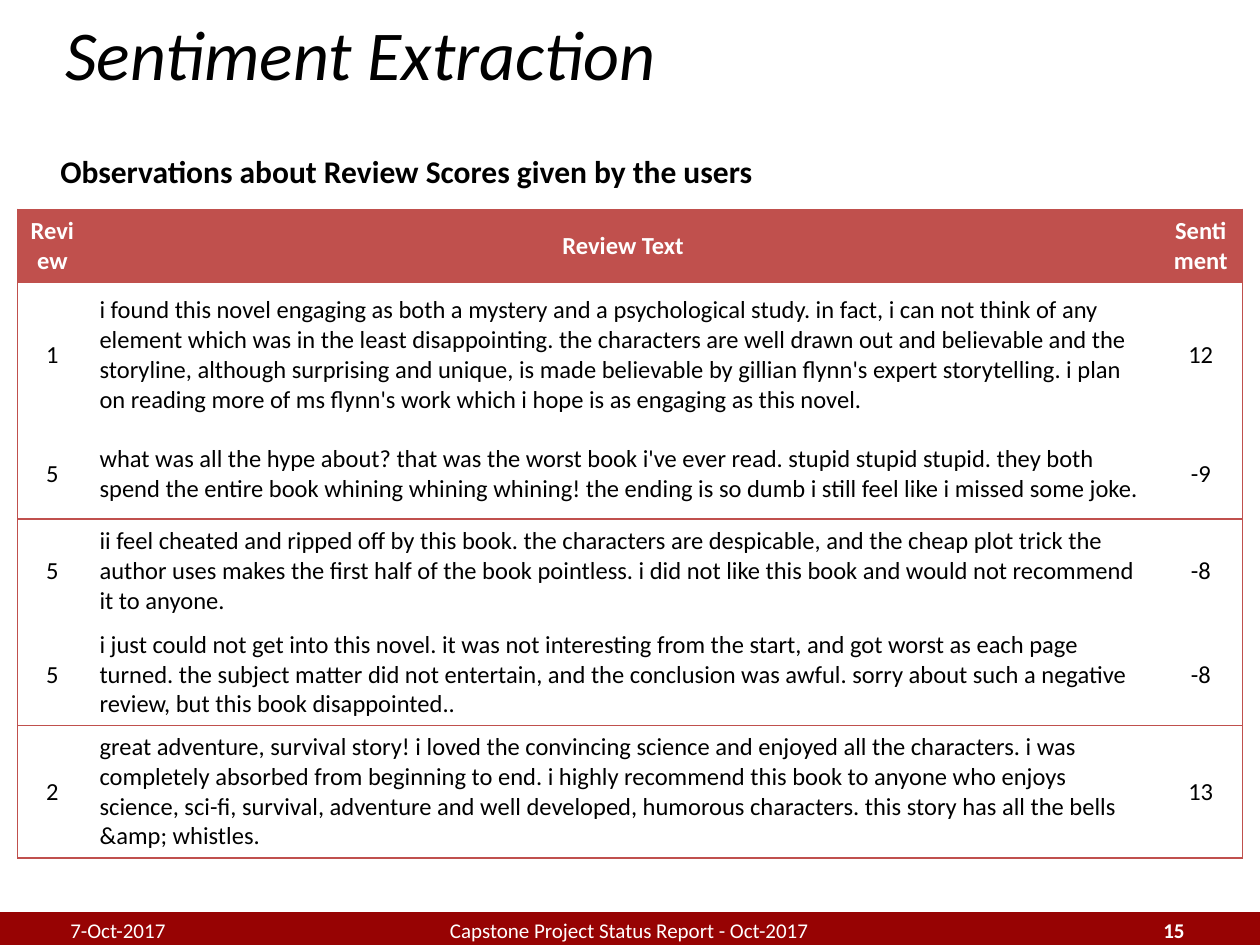
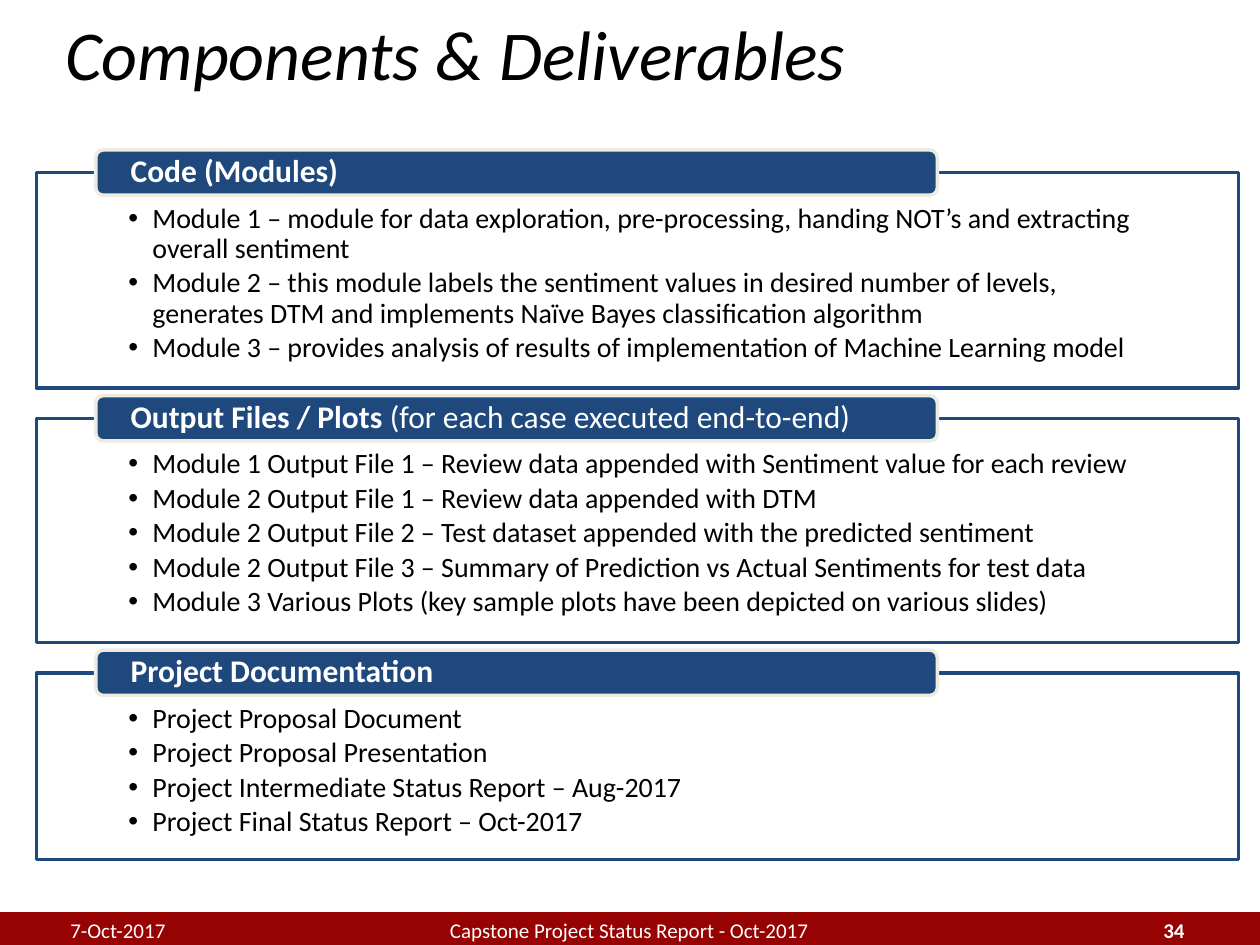
from dataclasses import dataclass
from typing import NamedTuple

from lxml.etree import SubElement
from pptx import Presentation
from pptx.dml.color import RGBColor as RGB
from pptx.enum.shapes import MSO_SHAPE as Shape
from pptx.enum.text import MSO_ANCHOR as Anchor, PP_ALIGN as Align
from pptx.oxml.ns import qn
from pptx.util import Inches, Pt


@dataclass(frozen=True)
class Theme:
    font: str = "Calibri"
    bullet_font: str = "Arial"
    white: RGB = RGB(0xFF, 0xFF, 0xFF)
    black: RGB = RGB(0, 0, 0)
    footer: RGB = RGB(0x97, 0x03, 0x03)
    table: RGB = RGB(0xC0, 0x50, 0x4D)
    navy: RGB = RGB(0x1F, 0x49, 0x7D)
    cream: RGB = RGB(0xEE, 0xEC, 0xE1)
    title_size: int = 40
    heading_size: int = 18
    bullet_size: int = 16
    cell_size: int = 14
    footer_size: int = 12
    line_width: float = 2
    border_width: float = 0.75


THEME = Theme()


class Box(NamedTuple):
    left: float
    top: float
    width: float
    height: float

    def emu(self) -> list:
        return [Inches(v) for v in self]


class Review(NamedTuple):
    score: str
    text: str
    sentiment: str
    height: float
    rule_below: bool


class Panel(NamedTuple):
    heading: str
    note: str
    bullets: list[str]
    height: float


DATE = "7-Oct-2017"
FOOTER = "Capstone Project Status Report - Oct-2017"

TABLE_BOX = Box(0.14, 1.66, 9.72, 5.15)
COLUMN_WIDTHS = (0.55, 8.51, 0.66)
HEADER = Review("Review", "Review Text", "Sentiment", 0.58, True)
REVIEWS = [
    Review("1", "i found this novel engaging as both a mystery and a psychological study. "
           "in fact, i can not think of any element which was in the least disappointing. "
           "the characters are well drawn out and believable and the storyline, although "
           "surprising and unique, is made believable by gillian flynn's expert storytelling. "
           "i plan on reading more of ms flynn's work which i hope is as engaging as this novel.",
           "12", 1.16, False),
    Review("5", "what was all the hype about? that was the worst book i've ever read. "
           "stupid stupid stupid. they both spend the entire book whining whining whining! "
           "the ending is so dumb i still feel like i missed some joke.",
           "-9", 0.72, True),
    Review("5", "ii feel cheated and ripped off by this book. the characters are despicable, "
           "and the cheap plot trick the author uses makes the first half of the book pointless. "
           "i did not like this book and would not recommend it to anyone.",
           "-8", 0.83, False),
    Review("5", "i just could not get into this novel. it was not interesting from the start, "
           "and got worst as each page turned. the subject matter did not entertain, and the "
           "conclusion was awful. sorry about such a negative review, but this book disappointed..",
           "-8", 0.81, True),
    Review("2", "great adventure, survival story! i loved the convincing science and enjoyed all "
           "the characters. i was completely absorbed from beginning to end. i highly recommend "
           "this book to anyone who enjoys science, sci-fi, survival, adventure and well "
           "developed, humorous characters. this story has all the bells &amp; whistles.",
           "13", 1.05, True),
]

PANEL_LEFT, PANEL_TOP, PANEL_WIDTH, PANEL_GAP = 0.29, 1.37, 9.54, 0.24
TAB_LEFT, TAB_RISE, TAB_WIDTH, TAB_HEIGHT = 0.76, 0.18, 6.68, 0.36
BULLET_INDENT = 0.19
PANELS = [
    Panel("Code (Modules)", "", [
        "Module 1 – module for data exploration, pre-processing, handing NOT’s and extracting "
        "overall sentiment",
        "Module 2 – this module labels the sentiment values in desired number of levels, "
        "generates DTM and implements Naïve Bayes classification algorithm",
        "Module 3 – provides analysis of results of implementation of Machine Learning model",
    ], 1.71),
    Panel("Output Files / Plots ", "(for each case executed end-to-end)", [
        "Module 1 Output File 1 – Review data appended with Sentiment value for each review",
        "Module 2 Output File 1 – Review data appended with DTM",
        "Module 2 Output File 2 – Test dataset appended with the predicted sentiment",
        "Module 2 Output File 3 – Summary of Prediction vs Actual Sentiments for test data",
        "Module 3 Various Plots (key sample plots have been depicted on various slides)",
    ], 1.78),
    Panel("Project Documentation", "", [
        "Project Proposal Document",
        "Project Proposal Presentation",
        "Project Intermediate Status Report – Aug-2017",
        "Project Final Status Report – Oct-2017",
    ], 1.48),
]


def add_run(p, text: str, size: float, color: RGB, bold: bool = False,
            italic: bool = False) -> None:
    r = p.add_run()
    r.text = text
    r.font.name = THEME.font
    r.font.size = Pt(size)
    r.font.color.rgb = color
    r.font.bold = bold
    r.font.italic = italic


def set_insets(tf, side: float, top: float, bottom: float) -> None:
    tf.margin_left = tf.margin_right = Inches(side)
    tf.margin_top, tf.margin_bottom = Inches(top), Inches(bottom)


def add_text(s, box: Box, text: str, size: float, color: RGB, align: Align = Align.LEFT,
             anchor: Anchor = Anchor.MIDDLE, bold: bool = False, italic: bool = False,
             inset: float = 0.05) -> None:
    """Add one line of text; inset is the space above and below it."""
    tf = s.shapes.add_textbox(*box.emu()).text_frame
    tf.word_wrap = True
    tf.vertical_anchor = anchor
    set_insets(tf, 0.1, inset, inset)
    p = tf.paragraphs[0]
    p.alignment = align
    add_run(p, text, size, color, bold, italic)


def add_block(s, kind: Shape, box: Box, fill: RGB | None, line: RGB):
    sp = s.shapes.add_shape(kind, *box.emu())
    sp.shadow.inherit = False
    if fill is None:
        sp.fill.background()
    else:
        sp.fill.solid()
        sp.fill.fore_color.rgb = fill
    sp.line.color.rgb = line
    sp.line.width = Pt(THEME.line_width)
    sp.text_frame.word_wrap = True
    return sp


def add_slide(prs, title: str, number: int):
    """Add a blank slide with the shared title and footer band."""
    s = prs.slides.add_slide(prs.slide_layouts[6])
    add_block(s, Shape.RECTANGLE, Box(0, 7.25, 10, 0.25), THEME.footer, THEME.footer)
    add_text(s, Box(0.42, 0, 9.25, 0.83), title, THEME.title_size, THEME.black, italic=True)
    for left, width, text, align, bold in (
        (0.46, 2.33, DATE, Align.LEFT, False),
        (3.16, 3.67, FOOTER, Align.CENTER, False),
        (7.17, 2.33, str(number), Align.RIGHT, True),
    ):
        add_text(s, Box(left, 7.26, width, 0.24), text, THEME.footer_size, THEME.white,
                 align, bold=bold, inset=0)
    return s


def set_borders(cell, sides: dict[str, bool]) -> None:
    """Draw the sides marked True and clear the others."""
    tc_pr = cell._tc.get_or_add_tcPr()
    for i, (side, shown) in enumerate(sides.items()):
        ln = tc_pr.makeelement(qn(f"a:ln{side}"), {"w": str(Pt(THEME.border_width))})
        tc_pr.insert(i, ln)
        if shown:
            fill = SubElement(ln, qn("a:solidFill"))
            SubElement(fill, qn("a:srgbClr"), val=str(THEME.table))
        else:
            SubElement(ln, qn("a:noFill"))


def add_review_table(s) -> None:
    rows = [HEADER, *REVIEWS]
    table = s.shapes.add_table(len(rows), len(COLUMN_WIDTHS), *TABLE_BOX.emu()).table
    table.horz_banding = False
    for column, width in zip(table.columns, COLUMN_WIDTHS):
        column.width = Inches(width)
    last = len(COLUMN_WIDTHS) - 1
    for i, review in enumerate(rows):
        is_header = i == 0
        table.rows[i].height = Inches(review.height)
        for j, text in enumerate((review.score, review.text, review.sentiment)):
            cell = table.cell(i, j)
            cell.vertical_anchor = Anchor.MIDDLE
            if is_header:
                cell.fill.solid()
                cell.fill.fore_color.rgb = THEME.table
            else:
                cell.fill.background()
            set_borders(cell, {"L": j == 0, "R": j == last,
                               "T": is_header or rows[i - 1].rule_below,
                               "B": review.rule_below})
            p = cell.text_frame.paragraphs[0]
            p.alignment = Align.LEFT if j == 1 and not is_header else Align.CENTER
            add_run(p, text, THEME.cell_size, THEME.white if is_header else THEME.black,
                    bold=is_header)


def add_bullet(p, text: str) -> None:
    p_pr = p._p.get_or_add_pPr()
    p_pr.set("marL", str(Inches(BULLET_INDENT)))
    p_pr.set("indent", str(-Inches(BULLET_INDENT)))
    SubElement(p_pr, qn("a:buFont"), typeface=THEME.bullet_font)
    SubElement(p_pr, qn("a:buChar"), char="•")
    p.alignment = Align.LEFT
    p.line_spacing = 0.9
    p.space_after = Pt(0.15 * THEME.bullet_size)
    add_run(p, text, THEME.bullet_size, THEME.black)


def add_panel(s, panel: Panel, top: float) -> None:
    """Draw an outlined bullet list with its heading tab over the top edge."""
    frame = add_block(s, Shape.RECTANGLE, Box(PANEL_LEFT, top, PANEL_WIDTH, panel.height),
                      None, THEME.navy)
    tf = frame.text_frame
    set_insets(tf, 0.73, 0.25, 0.12)
    tf.vertical_anchor = Anchor.TOP
    for i, text in enumerate(panel.bullets):
        add_bullet(tf.add_paragraph() if i else tf.paragraphs[0], text)

    tab = add_block(s, Shape.ROUNDED_RECTANGLE,
                    Box(TAB_LEFT, top - TAB_RISE, TAB_WIDTH, TAB_HEIGHT),
                    THEME.navy, THEME.cream)
    tf = tab.text_frame
    set_insets(tf, 0.26, 0, 0)
    tf.vertical_anchor = Anchor.MIDDLE
    p = tf.paragraphs[0]
    p.alignment = Align.LEFT
    p.line_spacing = 0.9
    add_run(p, panel.heading, THEME.heading_size, THEME.white, bold=True)
    if panel.note:
        add_run(p, panel.note, THEME.heading_size, THEME.white)


def build_sentiment_slide(prs) -> None:
    s = add_slide(prs, "Sentiment Extraction", 15)
    add_text(s, Box(0.38, 1.16, 9.25, 0.4), "Observations about Review Scores given by the users",
             THEME.heading_size, THEME.black, anchor=Anchor.TOP, bold=True)
    add_review_table(s)


def build_deliverables_slide(prs) -> None:
    s = add_slide(prs, "Components & Deliverables", 34)
    top = PANEL_TOP
    for panel in PANELS:
        add_panel(s, panel, top)
        top += panel.height + PANEL_GAP


def main() -> None:
    prs = Presentation()
    prs.slide_width, prs.slide_height = Inches(10), Inches(7.5)
    build_sentiment_slide(prs)
    build_deliverables_slide(prs)
    prs.save("out.pptx")


if __name__ == "__main__":
    main()
